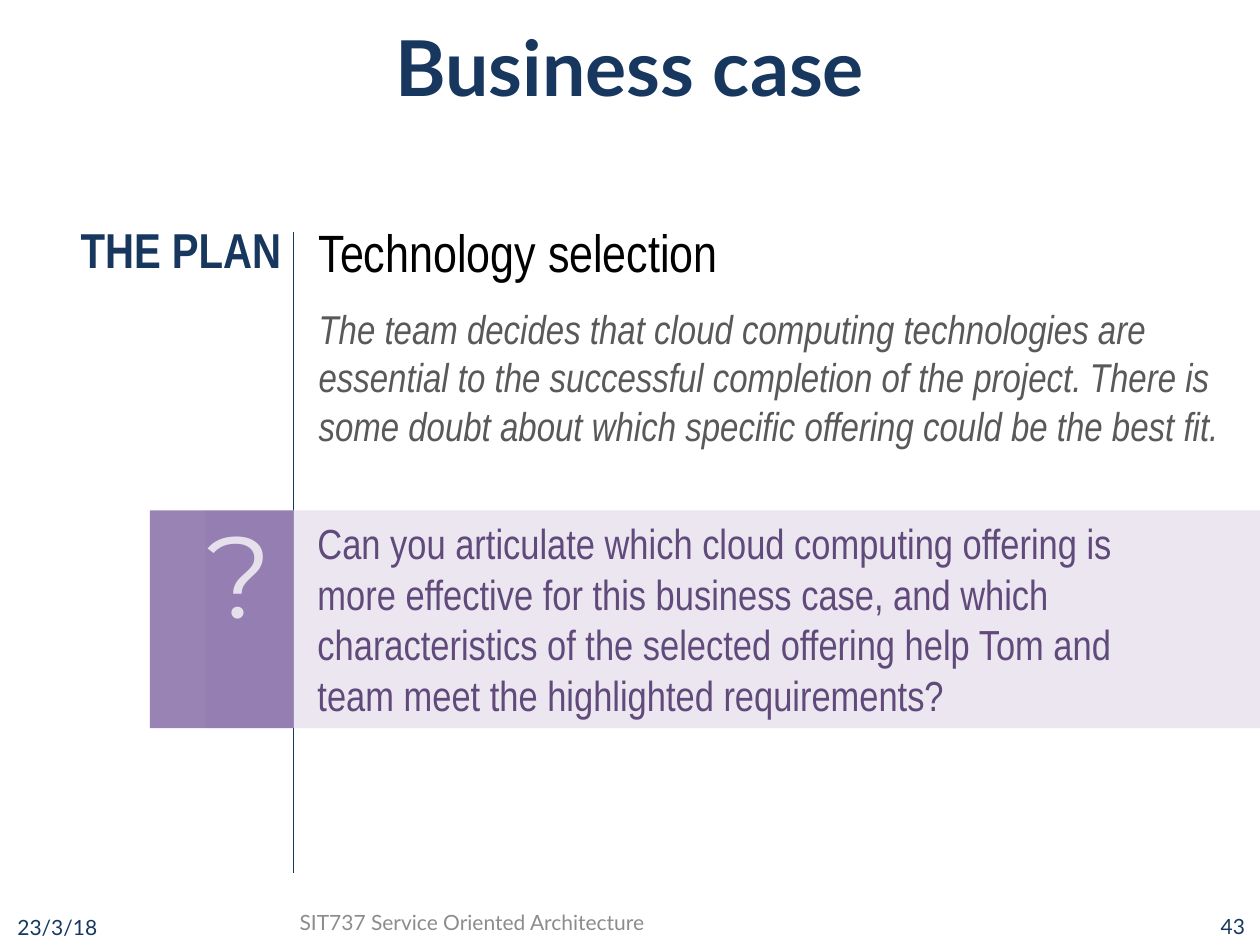
from lxml.etree import SubElement
from pptx import Presentation
from pptx.dml.color import RGBColor
from pptx.enum.shapes import MSO_CONNECTOR, MSO_SHAPE
from pptx.enum.text import MSO_ANCHOR, PP_ALIGN
from pptx.oxml.ns import qn
from pptx.util import Inches, Pt

COLUMNS, ROWS = 100, 75
CELL = Inches(0.1)
NAVY, GREY, BLACK, FOOTER_GREY = "17375E", "595959", "000000", "8C8C8C"
LILAC, PURPLE, DEEP_PURPLE = "E6E0EC", "8064A2", "604A7B"
HEADING_FONT, BODY_FONT, MARK_FONT = "Lato", "Arial Narrow", "Montserrat"


def color(value):
    """Turn a hex string into a colour."""
    return RGBColor.from_string(value)


def cells(*counts):
    """Turn counts of grid cells into lengths."""
    return [round(n * CELL) for n in counts]


def add_run(p, text, size, font, hue, bold=False, italic=False):
    """Add one formatted run to a paragraph."""
    r = p.add_run()
    r.text = text
    r.font.size, r.font.name = Pt(size), font
    r.font.bold, r.font.italic = bold, italic
    r.font.color.rgb = color(hue)


def add_text(s, box, align=PP_ALIGN.LEFT, anchor=MSO_ANCHOR.TOP, insets=(1, 0.5, 1, 0.5)):
    """Add a wrapping text box and return its text frame."""
    tf = s.shapes.add_textbox(*cells(*box)).text_frame
    tf.word_wrap, tf.vertical_anchor = True, anchor
    tf.margin_left, tf.margin_top, tf.margin_right, tf.margin_bottom = cells(*insets)
    tf.paragraphs[0].alignment = align
    return tf


def add_panel(s, box, hue, opacity):
    """Add a translucent rectangle without an outline."""
    sp = s.shapes.add_shape(MSO_SHAPE.RECTANGLE, *cells(*box))
    sp.shadow.inherit = False
    sp.fill.solid()
    sp.fill.fore_color.rgb = color(hue)
    sp.line.fill.background()
    fill = sp.fill._xPr.find(qn("a:solidFill"))[0]
    SubElement(fill, qn("a:alpha")).set("val", str(opacity * 1000))


def add_title(s, x, y, w, h):
    """Place and format the title placeholder."""
    sp = s.shapes.title
    sp.left, sp.top, sp.width, sp.height = cells(x, y, w, h)
    tf = sp.text_frame
    tf.vertical_anchor = MSO_ANCHOR.MIDDLE
    p = tf.paragraphs[0]
    p.alignment = PP_ALIGN.CENTER
    add_run(p, "Business case", 44, HEADING_FONT, NAVY, bold=True)


def add_footer(s, x, y, w, h):
    """Place the date, course name and page number along the bottom."""
    side = 23.3
    parts = [
        ("23/3/18", x, 0.1, side, NAVY, PP_ALIGN.LEFT, MSO_ANCHOR.MIDDLE),
        ("SIT737 Service Oriented Architecture", x + 22.4, 0.2, 54.4,
         FOOTER_GREY, PP_ALIGN.LEFT, MSO_ANCHOR.TOP),
        ("43", x + w - side, 0, side, NAVY, PP_ALIGN.RIGHT, MSO_ANCHOR.MIDDLE),
    ]
    for text, left, drop, width, hue, align, anchor in parts:
        tf = add_text(s, (left, y + drop, width, h), align, anchor)
        add_run(tf.paragraphs[0], text, 12, HEADING_FONT, hue)


def add_plan(s, x, y, w, h, divider):
    """Place the section label, the dividing line and the plan text."""
    line_x, top, bottom = cells(x + divider, y + 1.5, y + h)
    line = s.shapes.add_connector(MSO_CONNECTOR.STRAIGHT, line_x, top, line_x, bottom)
    line.line.color.rgb, line.line.width = color(NAVY), Pt(0.25)
    SubElement(line._element.spPr, qn("a:effectLst"))

    label = add_text(s, (x, y, divider, 5.7), PP_ALIGN.RIGHT)
    add_run(label.paragraphs[0], "THE PLAN", 28, BODY_FONT, NAVY, bold=True)

    tf = add_text(s, (x + divider + 1, y + 0.1, w - divider - 2, 19.4))
    add_run(tf.paragraphs[0], "Technology selection", 30, BODY_FONT, BLACK)
    p = tf.add_paragraph()
    p.space_before = Pt(12)
    add_run(p, "The team decides that cloud computing technologies are essential to the "
               "successful completion of the project. There is some doubt about which "
               "specific offering could be the best fit.", 23, BODY_FONT, GREY, italic=True)


def add_question(s, x, y, w, h, tab):
    """Place the question band with its marked tab on the left."""
    overlap = 4.4
    add_panel(s, (x + overlap, y, w - overlap, h), LILAC, 80)
    tf = add_text(s, (x + tab, y + 0.6, 72.6, h - 1.1), insets=(0, 0, 1.2, 0))
    p = tf.paragraphs[0]
    p._p.get_or_add_pPr().set("marL", str(Inches(0.19)))
    p._p.get_or_add_pPr().set("indent", "0")
    add_run(p, "Can you articulate which cloud computing offering is more effective for this "
               "business case, and which characteristics of the selected offering help Tom "
               "and team meet the highlighted requirements?", 24, BODY_FONT, DEEP_PURPLE)
    add_panel(s, (x, y, tab, h), PURPLE, 80)
    mark = add_text(s, (x + 4.5, y - 1.1, 5.4, 12.1), PP_ALIGN.RIGHT, insets=(0, 0.5, 1, 0.5))
    add_run(mark.paragraphs[0], "?", 66, MARK_FONT, LILAC)


def main():
    """Build the business case slide."""
    prs = Presentation()
    prs.slide_width, prs.slide_height = cells(COLUMNS, ROWS)
    s = prs.slides.add_slide(prs.slide_layouts[5])
    add_title(s, 0, -1, COLUMNS, 12.5)
    add_footer(s, 0.4, 71.5, COLUMNS - 0.6, 4)
    add_plan(s, 0, 16.9, COLUMNS, 52.4, divider=23.3)
    add_question(s, 11.9, 40.5, COLUMNS - 11.9, 17.3, tab=11.4)
    prs.save("out.pptx")


if __name__ == "__main__":
    main()
